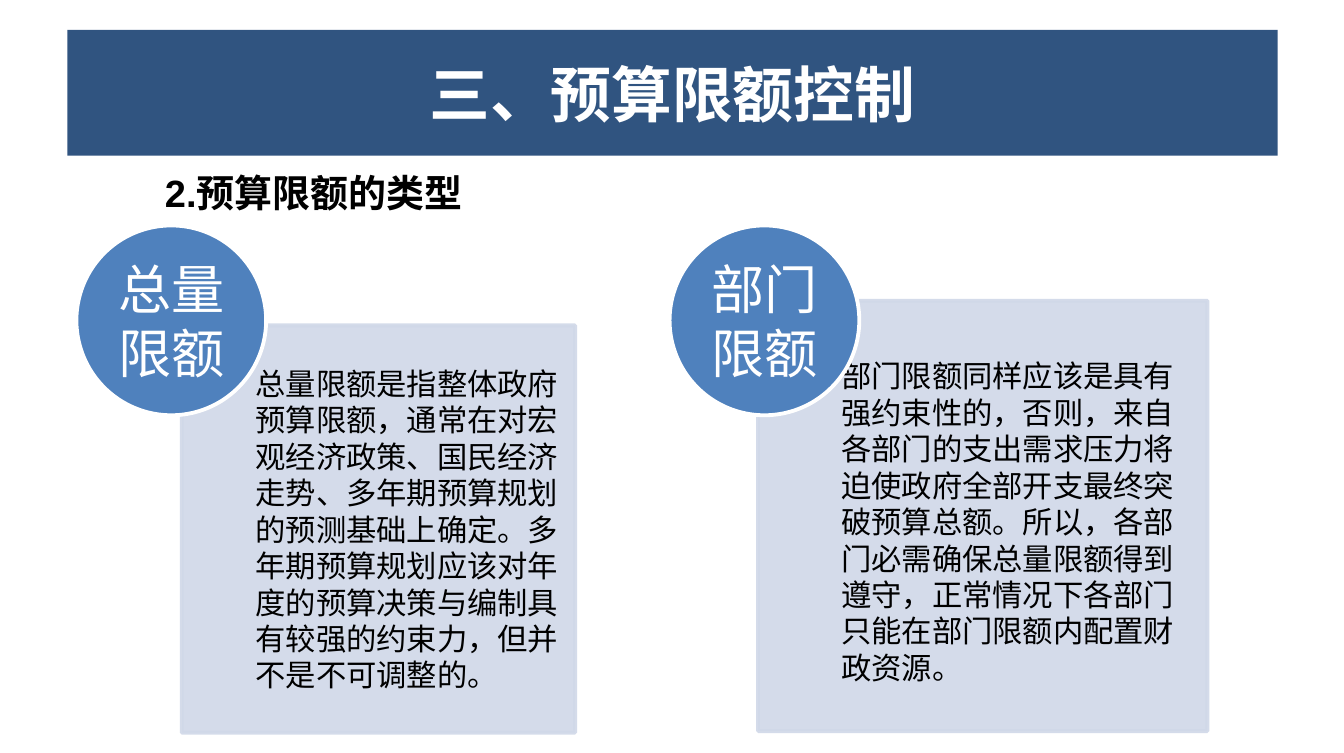
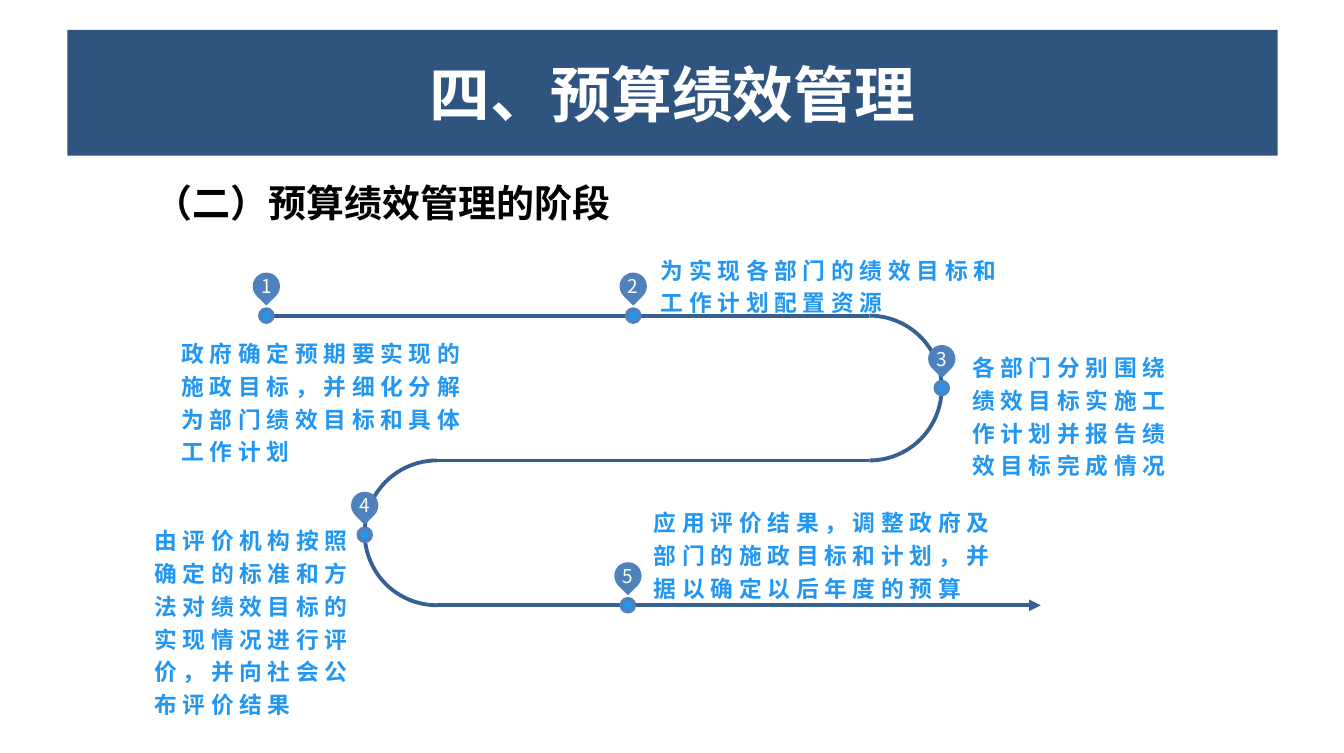
from dataclasses import dataclass
from typing import Any, Optional

import lxml.etree
import pptx
import pptx.dml.color
import pptx.enum.shapes
import pptx.enum.text
import pptx.oxml.ns
import pptx.util

Pt = pptx.util.Pt
Shape = pptx.enum.shapes.MSO_SHAPE
Align = pptx.enum.text.PP_ALIGN
Anchor = pptx.enum.text.MSO_ANCHOR
qn = pptx.oxml.ns.qn


@dataclass(frozen=True)
class Theme:
    band: str = "305480"
    accent: str = "4F81BD"
    card: str = "D0D8E8"
    track: str = "376092"
    label: str = "2196F3"
    white: str = "FFFFFF"
    black: str = "000000"
    east_asian: str = "Noto Sans CJK SC"
    latin: str = "Calibri"
    heading_latin: str = "Arial"
    title_size: float = 32
    circle_size: float = 28
    heading_size: float = 20
    body_size: float = 16
    label_size: float = 12
    number_size: float = 10
    leading: float = 1.2


THEME = Theme()


@dataclass(frozen=True)
class Frame:
    left: float
    top: float
    width: float
    height: float

    def lengths(self) -> list[int]:
        return [Pt(value) for value in (self.left, self.top, self.width, self.height)]


def centred(x: float, y: float, size: float) -> Frame:
    return Frame(x - size / 2, y - size / 2, size, size)


@dataclass(frozen=True)
class TextStyle:
    size: float
    color: str
    latin: str = THEME.east_asian
    bold: bool = False
    tracking: float = 0
    line_height: Optional[float] = None
    align: Any = Align.LEFT


TITLE = TextStyle(THEME.title_size, THEME.white, bold=True, align=Align.CENTER)
CIRCLE = TextStyle(THEME.circle_size, THEME.white, THEME.latin, align=Align.CENTER,
                   line_height=THEME.circle_size * THEME.leading)
BODY = TextStyle(THEME.body_size, THEME.black, THEME.latin,
                 line_height=THEME.body_size * THEME.leading)
LABEL = TextStyle(THEME.label_size, THEME.label, bold=True, tracking=3,
                  line_height=THEME.label_size * THEME.leading * 1.2)
NUMBER = TextStyle(THEME.number_size, THEME.white, align=Align.CENTER)


@dataclass(frozen=True)
class QuotaCard:
    circle: Frame
    name: str
    card: Frame
    text_left: float
    text_bottom: float
    text: str


@dataclass(frozen=True)
class Stage:
    x: float
    y: float
    label: Frame
    text: str


def rgb(color: str) -> Any:
    return pptx.dml.color.RGBColor.from_string(color)


def write(box: Any, text: str, style: TextStyle, anchor: Any = Anchor.MIDDLE,
          insets: tuple[float, float, float, float] = (0, 0, 0, 0)) -> None:
    """Set the text of a box; insets are left, top, right, bottom."""
    frame = box.text_frame
    frame.text = text
    frame.word_wrap = True
    frame.vertical_anchor = anchor
    (frame.margin_left, frame.margin_top,
     frame.margin_right, frame.margin_bottom) = [Pt(inset) for inset in insets]
    for para in frame.paragraphs:
        para.alignment = style.align
        if style.line_height:
            para.line_spacing = Pt(style.line_height)
        for span in para.runs:
            span.font.size = Pt(style.size)
            span.font.bold = style.bold
            span.font.color.rgb = rgb(style.color)
            span.font.name = style.latin
            properties = span.font._element
            lxml.etree.SubElement(properties, qn("a:ea"), typeface=THEME.east_asian)
            if style.tracking:
                properties.set("spc", str(round(style.tracking * 100)))


def add_text(page: Any, frame: Frame, text: str, style: TextStyle, **layout: Any) -> None:
    write(page.shapes.add_textbox(*frame.lengths()), text, style, **layout)


def add_shape(page: Any, kind: Any, frame: Frame, fill: Optional[str] = None,
              line: Optional[str] = None, line_width: float = 2) -> Any:
    shape = page.shapes.add_shape(kind, *frame.lengths())
    shape.shadow.inherit = False
    if fill:
        shape.fill.solid()
        shape.fill.fore_color.rgb = rgb(fill)
    else:
        shape.fill.background()
    if line:
        shape.line.color.rgb = rgb(line)
        shape.line.width = Pt(line_width)
    else:
        shape.line.fill.background()
    return shape


def set_opacity(shape: Any, percent: int) -> None:
    for color in shape._element.spPr.iter(qn("a:srgbClr")):
        lxml.etree.SubElement(color, qn("a:alpha"), val=str(percent * 1000))


def add_page(deck: Any, title: str, heading: str, heading_at: tuple[float, float],
             heading_latin: str) -> Any:
    page = deck.slides.add_slide(deck.slide_layouts[6])
    band = add_shape(page, Shape.RECTANGLE, Frame(35.5, 15.8, 638, 66.2), THEME.band)
    write(band, title, TITLE, insets=(6.5, 3, 6.5, 3))
    style = TextStyle(THEME.heading_size, THEME.black, heading_latin, bold=True)
    add_text(page, Frame(*heading_at, 308, 31.7), heading, style,
             insets=(7.2, 3.6, 7.2, 3.6))
    return page


def add_quota_card(page: Any, quota: QuotaCard) -> None:
    card = add_shape(page, Shape.RECTANGLE, quota.card, THEME.card, THEME.card)
    set_opacity(card, 90)
    write(card, quota.text, BODY, insets=(quota.text_left, 5.8, 5.8, quota.text_bottom))
    circle = add_shape(page, Shape.OVAL, quota.circle, THEME.accent, THEME.white)
    write(circle, quota.name, CIRCLE)


def add_track_line(page: Any, start: float, end: float, y: float,
                   ending: Optional[tuple[str, str]] = None) -> None:
    """Draw a level track line; ending is an (end tag, arrowhead type) pair."""
    line = page.shapes.add_connector(pptx.enum.shapes.MSO_CONNECTOR.STRAIGHT,
                                     Pt(start), Pt(y), Pt(end), Pt(y))
    line.line.color.rgb = rgb(THEME.track)
    line.line.width = Pt(2)
    lxml.etree.SubElement(line._element.spPr, qn("a:effectLst"))
    if ending:
        tag, kind = ending
        lxml.etree.SubElement(line.line._get_or_add_ln(), qn(tag), type=kind)


def add_half_circle(page: Any, x: float, y: float, size: float,
                    angles: tuple[float, float]) -> None:
    arc = add_shape(page, Shape.ARC, centred(x, y, size), line=THEME.track)
    for index, angle in enumerate(angles):
        arc.adjustments[index] = angle * 0.6  # 60000 units a degree, scaled by 100000


def add_stage(page: Any, number: int, stage: Stage) -> None:
    drop_y = stage.y - 15.5
    drop = add_shape(page, Shape.TEAR, centred(stage.x, drop_y, 14.4), THEME.accent)
    drop.rotation = 135
    add_text(page, centred(stage.x, drop_y, 18), str(number), NUMBER)
    add_shape(page, Shape.OVAL, centred(stage.x, stage.y, 6.5), THEME.label,
              THEME.accent, 2.25)
    add_text(page, stage.label, stage.text, LABEL, anchor=Anchor.TOP,
             insets=(7.2, 3.6, 7.2, 0))


def build_quota_page(deck: Any) -> None:
    page = add_page(deck, "三、预算限额控制", "2.预算限额的类型", (79.9, 85.7),
                    THEME.heading_latin)
    quotas = [
        QuotaCard(Frame(40.3, 118.8, 100, 100), "总量\n限额",
                  Frame(95.8, 171.4, 207.4, 214.6), 39, 5.8,
                  "总量限额是指整体政府预算限额，通常在对宏观经济政策、国民经济走势、"
                  "多年期预算规划的预测基础上确定。多年期预算规划应该对年度的预算决策与"
                  "编制具有较强的约束力，但并不是不可调整的。"),
        QuotaCard(Frame(353, 118.8, 100, 100), "部门\n限额",
                  Frame(399.6, 158.4, 236.9, 226.8), 44, 0,
                  "部门限额同样应该是具有强约束性的，否则，来自各部门的支出需求压力将"
                  "迫使政府全部开支最终突破预算总额。所以，各部门必需确保总量限额得到"
                  "遵守，正常情况下各部门只能在部门限额内配置财政资源。"),
    ]
    for quota in quotas:
        add_quota_card(page, quota)


def build_stage_page(deck: Any) -> None:
    page = add_page(deck, "四、预算绩效管理", "（二）预算绩效管理的阶段", (74.2, 90.7),
                    THEME.latin)
    start, left_bend, right_bend, end = 140.4, 230.4, 458.3, 548.6
    row_gap = 76.3
    first_row, second_row, third_row = [166.3 + row * row_gap for row in range(3)]
    right_turn = (first_row + second_row) / 2
    left_turn = (second_row + third_row) / 2

    add_track_line(page, start, right_bend, first_row, ("a:headEnd", "oval"))
    add_half_circle(page, right_bend, right_turn, row_gap, (270, 90))
    add_track_line(page, right_bend, left_bend, second_row)
    add_half_circle(page, left_bend, left_turn, row_gap, (90, 270))
    add_track_line(page, left_bend, end, third_row, ("a:tailEnd", "triangle"))

    stages = [
        Stage(start, first_row, Frame(88.6, 172.6, 173.5, 76),
              "政府确定预期要实现的施政目标，并细化分解为部门绩效目标和具体工作计划"),
        Stage(333.8, first_row, Frame(341.3, 128.6, 203, 40),
              "为实现各部门的绩效目标和工作计划配置资源"),
        Stage(right_bend + row_gap / 2, right_turn, Frame(505.4, 180, 126.7, 76),
              "各部门分别围绕绩效目标实施工作计划并报告绩效目标完成情况"),
        Stage(left_bend - row_gap / 2, left_turn + 1, Frame(74.2, 271.3, 131, 110),
              "由评价机构按照确定的标准和方法对绩效目标的实现情况进行评价，"
              "并向社会公布评价结果"),
        Stage(331, third_row, Frame(337.7, 261.9, 204.5, 58),
              "应用评价结果，调整政府及部门的施政目标和计划，并据以确定以后年度的预算"),
    ]
    for number, stage in enumerate(stages, start=1):
        add_stage(page, number, stage)


def main() -> None:
    deck = pptx.Presentation()
    deck.slide_width, deck.slide_height = Pt(708.5), Pt(396.7)
    build_quota_page(deck)
    build_stage_page(deck)
    deck.save("out.pptx")


if __name__ == "__main__":
    main()
